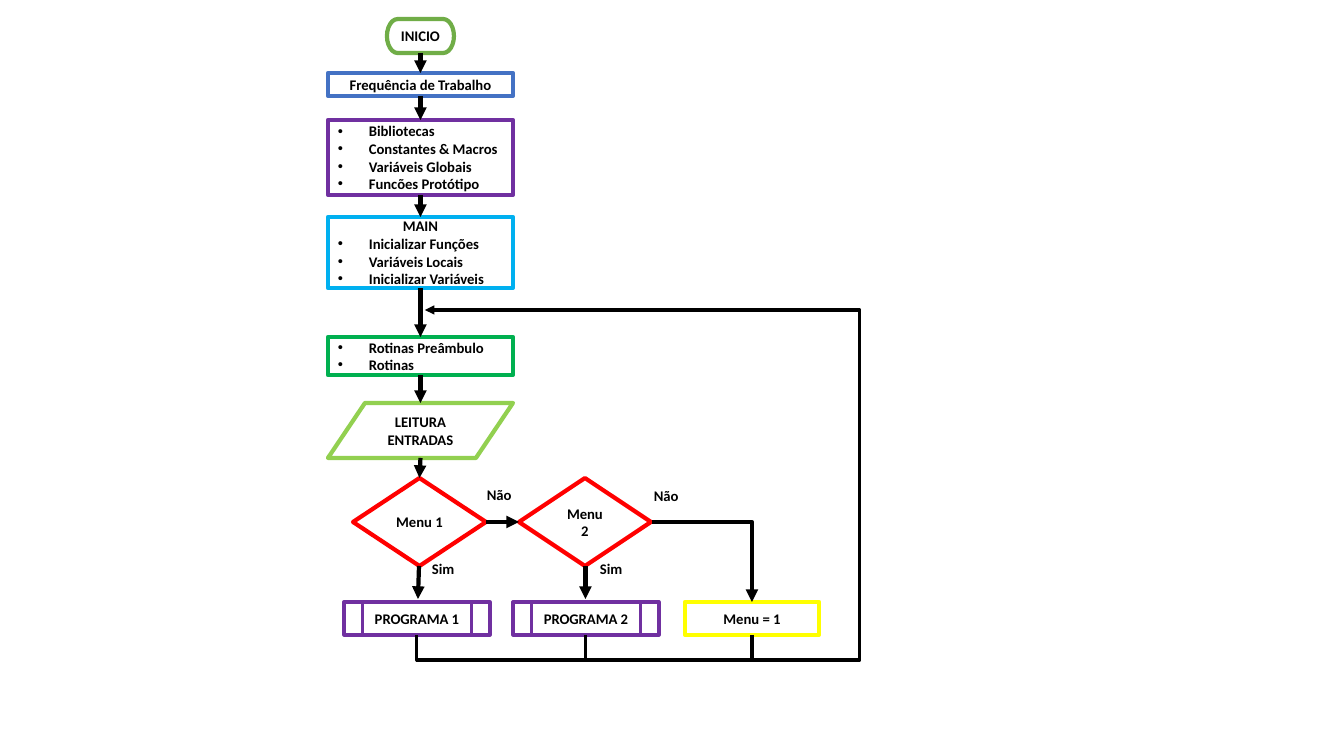
from pptx import Presentation
from pptx.dml.color import RGBColor
from pptx.enum.shapes import MSO_CONNECTOR, MSO_SHAPE
from pptx.enum.text import MSO_ANCHOR, MSO_AUTO_SIZE, PP_ALIGN
from pptx.oxml.ns import qn
from pptx.util import Pt
from lxml.etree import SubElement

PX = 914400 / 100.8
COLORS = {
    "black": "000000", "moss": "70AD47", "blue": "4472C4", "lime": "92D050",
    "red": "FF0000", "purple": "7030A0", "green": "00B050", "cyan": "00B0F0",
    "yellow": "FFFF00",
}

prs = Presentation()
prs.slide_width, prs.slide_height = round(1344 * PX), round(756 * PX)
s = prs.slides.add_slide(prs.slide_layouts[6])


def write(tf, lines, align):
    """Lines that start with a bullet become hanging list items."""
    for i, line in enumerate(lines):
        p = tf.paragraphs[0] if i == 0 else tf.add_paragraph()
        p.alignment = align
        if line.startswith("•"):
            p.alignment = PP_ALIGN.LEFT
            pPr = p._p.get_or_add_pPr()
            pPr.set("marL", str(round(31 * PX)))
            pPr.set("indent", str(-round(31 * PX)))
            SubElement(pPr, qn("a:buFont"), typeface="Arial")
            SubElement(pPr, qn("a:buChar"), char="•")
        r = p.add_run()
        r.text = line.lstrip("•")
        r.font.size, r.font.bold, r.font.name = Pt(10.5), True, "Calibri"
        r.font.color.rgb = RGBColor.from_string(COLORS["black"])


def connect(kind, x1, y1, x2, y2, weight=3, arrow=True):
    c = s.shapes.add_connector(kind, *(round(v * PX) for v in (x1, y1, x2, y2)))
    c.line.width = Pt(weight)
    c.line.color.rgb = RGBColor.from_string(COLORS["black"])
    if arrow:
        SubElement(c.line._get_or_add_ln(), qn("a:tailEnd"), type="triangle")
    SubElement(c._element.spPr, qn("a:effectLst"))
    return c


# Flowchart blocks: shape, left, top, width, height, colour, line weight, lines
BOX = MSO_SHAPE.FLOWCHART_PROCESS
DECISION = MSO_SHAPE.FLOWCHART_DECISION
PROGRAM = MSO_SHAPE.FLOWCHART_PREDEFINED_PROCESS
blocks = [
    (MSO_SHAPE.FLOWCHART_TERMINATOR, 387, 19, 67, 34, "moss", 3, ["INICIO"]),
    (BOX, 328, 73, 185, 23, "blue", 3, ["Frequência de Trabalho"]),
    (BOX, 328, 120, 185, 75, "purple", 3,
     ["•Bibliotecas", "•Constantes & Macros", "•Variáveis Globais", "•Funcões Protótipo"]),
    (BOX, 328, 217, 185, 71, "cyan", 3,
     ["MAIN", "•Inicializar Funções", "•Variáveis Locais", "•Inicializar Variáveis"]),
    (BOX, 328, 337, 185, 38, "green", 3, ["•Rotinas Preâmbulo", "•Rotinas"]),
    (MSO_SHAPE.FLOWCHART_DATA, 328, 403, 185, 55, "lime", 3, ["LEITURA ENTRADAS"]),
    (DECISION, 353, 478, 133, 88, "red", 3, ["Menu 1"]),
    (DECISION, 519, 478, 132, 88, "red", 3, ["Menu 2"]),
    (PROGRAM, 344, 602, 146, 33, "purple", 2.25, ["PROGRAMA 1"]),
    (PROGRAM, 513, 602, 146, 33, "purple", 2.25, ["PROGRAMA 2"]),
    (BOX, 685, 602, 134, 33, "yellow", 3, ["Menu = 1"]),
]
for shape, x, y, w, h, color, weight, lines in blocks:
    sp = s.shapes.add_shape(shape, *(round(v * PX) for v in (x, y, w, h)))
    sp.shadow.inherit = False
    sp.fill.background()
    sp.line.color.rgb = RGBColor.from_string(COLORS[color])
    sp.line.width = Pt(weight)
    tf = sp.text_frame
    tf.word_wrap, tf.vertical_anchor = True, MSO_ANCHOR.MIDDLE
    write(tf, lines, PP_ALIGN.CENTER)

# Arrows down the main column, each from one block's bottom to the next top
column = blocks[:7]
for upper, lower in zip(column, column[1:]):
    connect(MSO_CONNECTOR.STRAIGHT, 420.5, upper[2] + upper[4],
            lower[1] + lower[3] / 2, lower[2])

# Arrows out of the decisions
connect(MSO_CONNECTOR.STRAIGHT, 486, 522, 519, 522)
for x1, x2 in [(419, 418), (585.5, 585.5)]:
    connect(MSO_CONNECTOR.STRAIGHT, x1, 566, x2, 599)
corner = connect(MSO_CONNECTOR.ELBOW, 652, 522, 752, 602)
corner._element.spPr.find(qn("a:prstGeom")).set("prst", "bentConnector2")

# Return loop: a five-part elbow turned by 90 degrees about its centre
start_x, start_y, end_x, end_y, right, bottom = 417, 635, 425, 310, 859, 660
run, rise = start_y - end_y, end_x - start_x
mid_x, mid_y = (start_x + end_x) / 2, (start_y + end_y) / 2
loop = connect(MSO_CONNECTOR.ELBOW, mid_x + run / 2, mid_y + rise / 2,
               mid_x - run / 2, mid_y - rise / 2, 2.25)
loop._element.spPr.find(qn("a:xfrm")).set("rot", "5400000")
geom = loop._element.spPr.find(qn("a:prstGeom"))
geom.set("prst", "bentConnector5")
guides = geom.get_or_add_avLst()
ratios = [(start_y - bottom) / run, (right - start_x) / rise, 1]
for i, ratio in enumerate(ratios, 1):
    SubElement(guides, qn("a:gd"), name=f"adj{i}", fmla=f"val {round(ratio * 100000)}")
for x in (585.5, 752):
    connect(MSO_CONNECTOR.STRAIGHT, x, start_y, x, bottom, 2.25, False)

# Branch labels
for text, x, y, w in [("Sim", 590, 555, 43), ("Sim", 422, 555, 43),
                      ("Não", 644, 482, 45), ("Não", 477, 481, 45)]:
    tf = s.shapes.add_textbox(*(round(v * PX) for v in (x, y, w, 28))).text_frame
    tf.word_wrap, tf.auto_size = False, MSO_AUTO_SIZE.SHAPE_TO_FIT_TEXT
    write(tf, [text], PP_ALIGN.LEFT)

prs.save("out.pptx")
